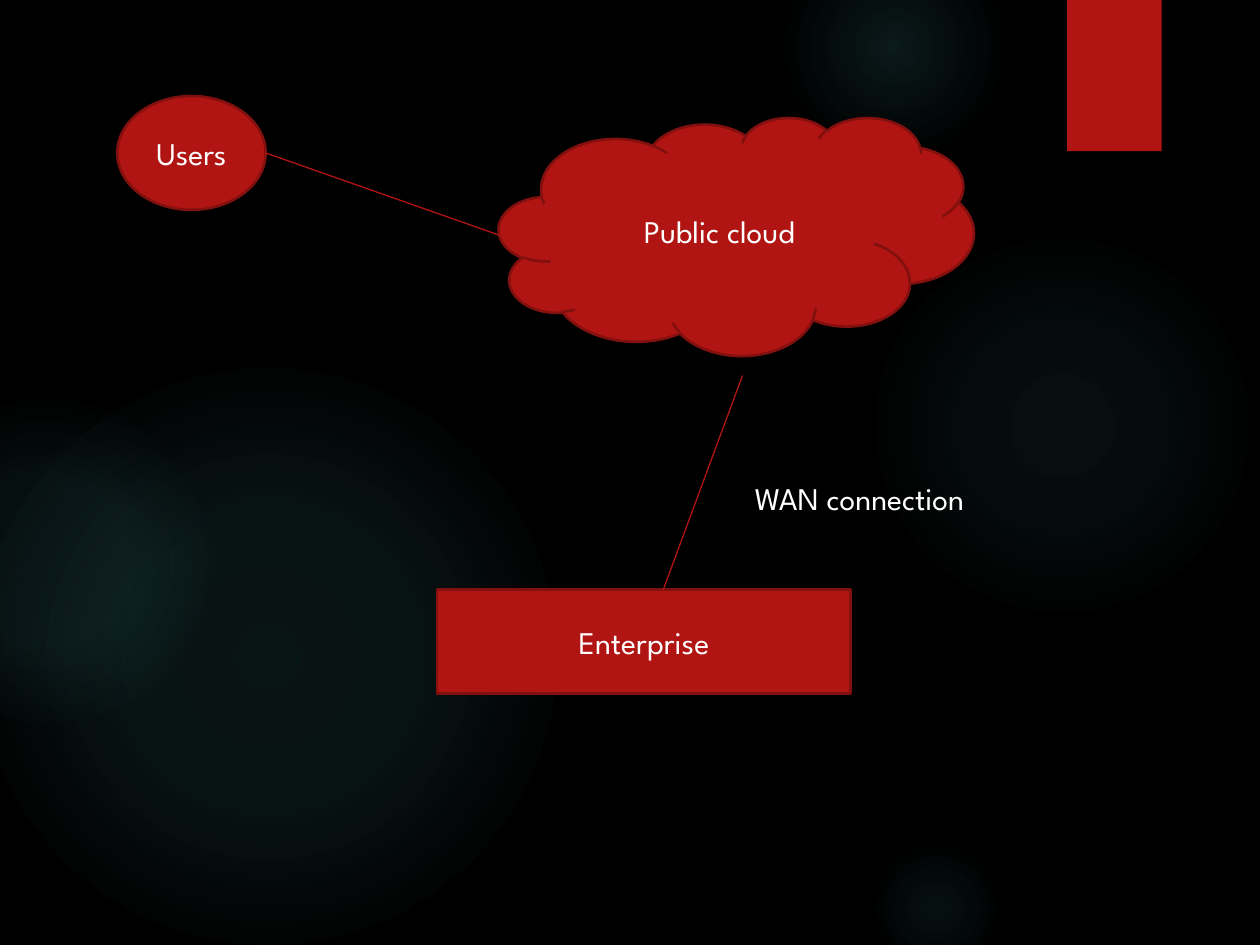
from dataclasses import dataclass

from lxml import etree
from pptx import Presentation
from pptx import util as u
from pptx.dml import color
from pptx.enum import shapes, text
from pptx.oxml import ns

Pt = u.Pt
Kind = shapes.MSO_SHAPE


@dataclass(frozen=True)
class Theme:
    background: str = "000000"
    accent: str = "B01513"
    outline: str = "82100E"
    glow: str = "50B9C1"
    ink: str = "FFFFFF"
    font: str = "League Spartan"
    text_size: float = 18
    outline_width: float = 1.5
    link_width: float = 0.75


@dataclass(frozen=True)
class Glow:
    left: float
    top: float
    diameter: float
    stops: tuple[tuple[int, int], ...]  # (position %, opacity %)


@dataclass(frozen=True)
class Node:
    label: str
    kind: Kind
    left: float
    top: float
    width: float
    height: float


@dataclass(frozen=True)
class Link:
    start: tuple[float, float]
    end: tuple[float, float]


THEME = Theme()

GLOWS = (
    Glow(496, 132, 222, ((0, 7), (36, 6), (69, 0))),
    Glow(448, -36, 126, ((0, 14), (36, 7), (73, 0))),
    Glow(496, 480, 78, ((0, 9), (36, 5), (66, 0))),
    Glow(-12, 210, 330, ((0, 11), (36, 10), (75, 0))),
    Glow(-66, 228, 186, ((0, 8), (36, 8), (72, 0))),
)

ENTERPRISE = Node("Enterprise", Kind.RECTANGLE, 249.8, 337, 236.4, 59.4)
CLOUD = Node("Public cloud", Kind.CLOUD, 285.1, 67, 271.4, 136)
USERS = Node("Users", Kind.OVAL, 67, 54.9, 84.8, 65)

WAN_LINK = Link((379, 337), (424.3, 214.6))
USER_LINK = Link((151.8, 87.4), (286.5, 134.8))


def rgb(value: str) -> color.RGBColor:
    return color.RGBColor.from_string(value)


def add_plain_shape(page, kind: Kind, left: float, top: float, width: float, height: float):
    """Add a shape with the accent fill and neither line nor shadow."""
    shape = page.shapes.add_shape(kind, Pt(left), Pt(top), Pt(width), Pt(height))
    shape.shadow.inherit = False
    shape.fill.solid()
    shape.fill.fore_color.rgb = rgb(THEME.accent)
    shape.line.fill.background()
    return shape


def draw_glow(page, glow: Glow) -> None:
    """Draw a disc whose radial gradient fades to transparent."""
    shape = add_plain_shape(page, Kind.OVAL, glow.left, glow.top, glow.diameter, glow.diameter)
    gradient = etree.Element(ns.qn("a:gradFill"), rotWithShape="1")
    stop_list = etree.SubElement(gradient, ns.qn("a:gsLst"))
    for position, opacity in glow.stops:
        stop = etree.SubElement(stop_list, ns.qn("a:gs"), pos=str(position * 1000))
        tint = etree.SubElement(stop, ns.qn("a:srgbClr"), val=THEME.glow)
        etree.SubElement(tint, ns.qn("a:alpha"), val=str(opacity * 1000))
    circle = etree.SubElement(gradient, ns.qn("a:path"), path="circle")
    centre = dict.fromkeys("ltrb", "50000")
    etree.SubElement(circle, ns.qn("a:fillToRect"), centre)
    properties = shape._element.spPr
    properties.replace(properties.find(ns.qn("a:solidFill")), gradient)


def write_label(frame, label: str, alignment: text.PP_ALIGN) -> None:
    frame.text = label
    para = frame.paragraphs[0]
    para.alignment = alignment
    font = para.runs[0].font
    font.name = THEME.font
    font.size = Pt(THEME.text_size)
    font.color.rgb = rgb(THEME.ink)


def draw_node(page, node: Node) -> None:
    shape = add_plain_shape(page, node.kind, node.left, node.top, node.width, node.height)
    shape.line.color.rgb = rgb(THEME.outline)
    shape.line.width = Pt(THEME.outline_width)
    shape.text_frame.vertical_anchor = text.MSO_ANCHOR.MIDDLE
    write_label(shape.text_frame, node.label, text.PP_ALIGN.CENTER)


def draw_link(page, link: Link) -> None:
    ends = [Pt(value) for value in link.start + link.end]
    line = page.shapes.add_connector(shapes.MSO_CONNECTOR.STRAIGHT, *ends)
    line.line.color.rgb = rgb(THEME.accent)
    line.line.width = Pt(THEME.link_width)
    etree.SubElement(line._element.spPr, ns.qn("a:effectLst"))


def draw_caption(page, label: str, left: float, top: float, width: float, height: float) -> None:
    box = page.shapes.add_textbox(Pt(left), Pt(top), Pt(width), Pt(height))
    box.text_frame.word_wrap = False
    box.text_frame.auto_size = text.MSO_AUTO_SIZE.SHAPE_TO_FIT_TEXT
    write_label(box.text_frame, label, text.PP_ALIGN.LEFT)


def main() -> None:
    deck = Presentation()
    deck.slide_width, deck.slide_height = Pt(720), Pt(540)
    page = deck.slides.add_slide(deck.slide_layouts[6])
    page.background.fill.solid()
    page.background.fill.fore_color.rgb = rgb(THEME.background)

    for glow in GLOWS:
        draw_glow(page, glow)
    add_plain_shape(page, Kind.RECTANGLE, 609.8, 0, 54, 86.4)

    draw_node(page, ENTERPRISE)
    draw_node(page, CLOUD)
    draw_link(page, WAN_LINK)
    draw_node(page, USERS)
    draw_link(page, USER_LINK)
    draw_caption(page, "WAN connection", 424.3, 270, 141, 29)
    deck.save("out.pptx")


if __name__ == "__main__":
    main()
